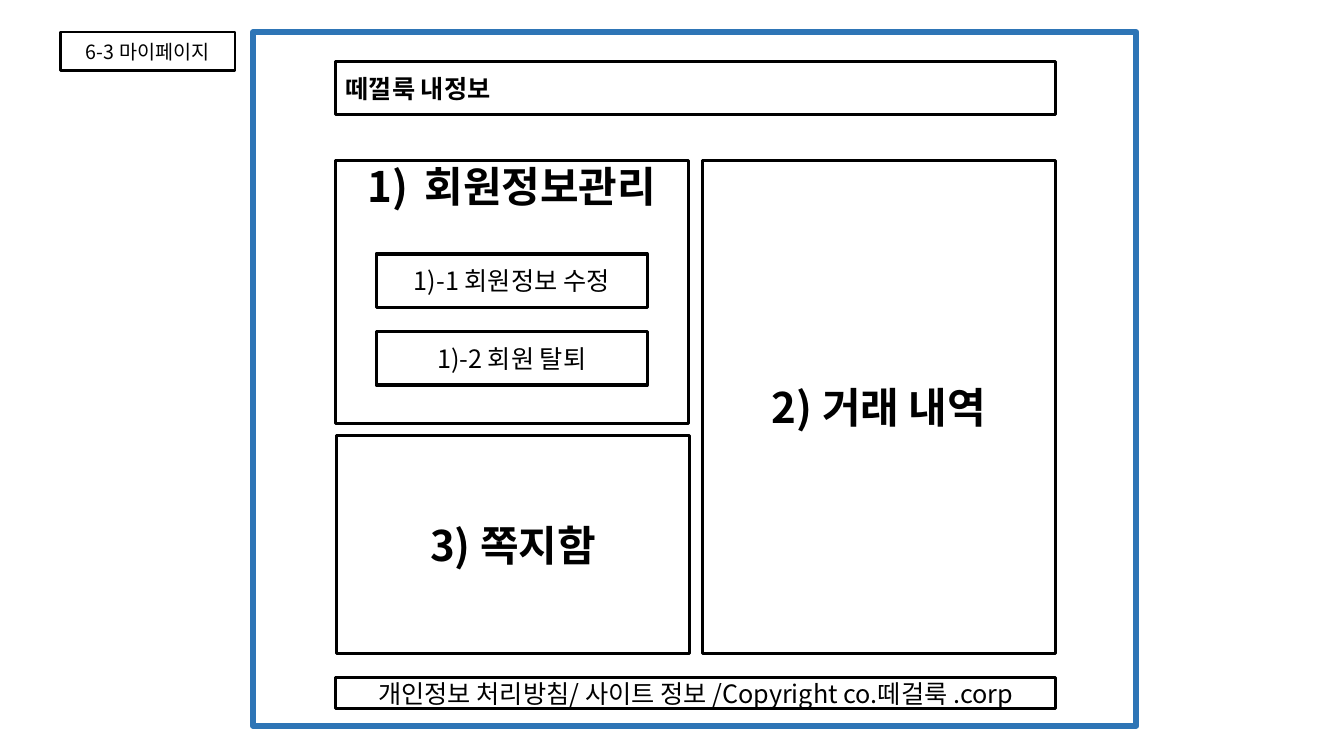
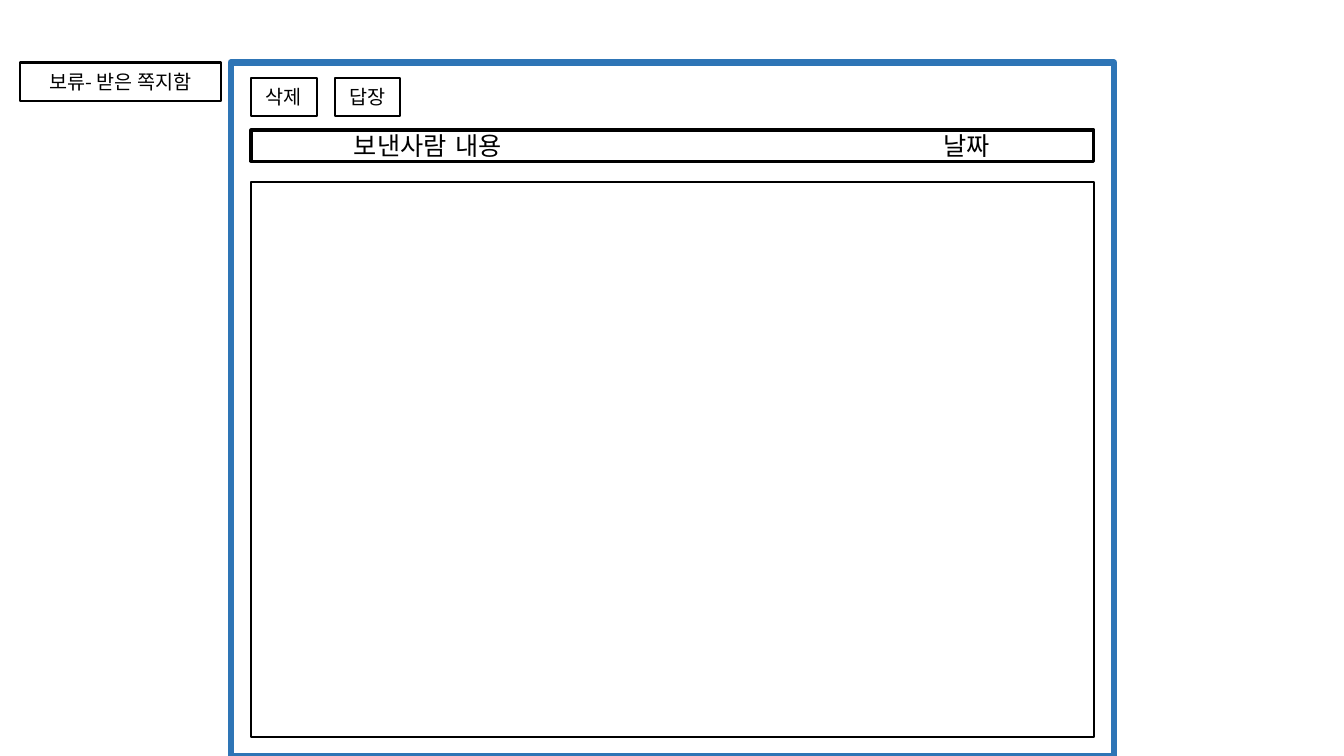
from collections import namedtuple
from dataclasses import dataclass

from lxml.etree import SubElement
from pptx import Presentation
from pptx.dml.color import RGBColor
from pptx.enum.shapes import MSO_SHAPE
from pptx.enum.text import MSO_ANCHOR, PP_ALIGN
from pptx.oxml.ns import qn
from pptx.util import Pt

PX = 9144

Box = namedtuple("Box", "left top width height")


@dataclass(frozen=True)
class Theme:
    font: str = "Noto Sans CJK KR"
    ink: RGBColor = RGBColor(0x00, 0x00, 0x00)
    paper: RGBColor = RGBColor(0xFF, 0xFF, 0xFF)
    accent: RGBColor = RGBColor(0x2E, 0x75, 0xB6)
    small: int = 14
    body: int = 18
    heading: int = 30
    thin: float = 1.5
    medium: float = 2.25
    thick: float = 4.5


THEME = Theme()


def inside(box, left, top, width, height):
    return Box(box.left + left, box.top + top, width, height)


def outline(slide, box, weight, color=THEME.ink):
    panel = slide.shapes.add_shape(MSO_SHAPE.RECTANGLE, *(side * PX for side in box))
    panel.shadow.inherit = False
    panel.fill.solid()
    panel.fill.fore_color.rgb = THEME.paper
    panel.line.color.rgb = color
    panel.line.width = Pt(weight)
    return panel


def write(panel, runs, size, bold=False, align=PP_ALIGN.CENTER, anchor=MSO_ANCHOR.MIDDLE):
    frame = panel.text_frame
    frame.word_wrap = True
    frame.vertical_anchor = anchor
    paragraph = frame.paragraphs[0]
    paragraph.alignment = align
    for words in runs:
        run = paragraph.add_run()
        run.text = words
        run.font.size = Pt(size)
        run.font.bold = bold
        run.font.color.rgb = THEME.ink
        run.font.name = THEME.font
        SubElement(run.font._element, qn("a:ea"), typeface=THEME.font)
    return paragraph


def labelled(slide, box, words, size=THEME.body, weight=THEME.medium, **style):
    panel = outline(slide, box, weight)
    write(panel, [words], size, **style)


def number_with_paren(paragraph, hanging):
    properties = paragraph._p.get_or_add_pPr()
    properties.set("marL", str(hanging * PX))
    properties.set("indent", str(-hanging * PX))
    SubElement(properties, qn("a:buFontTx"))
    SubElement(properties, qn("a:buAutoNum"), type="arabicParenR")


def set_tabs(paragraph, stops):
    tabs = SubElement(paragraph._p.get_or_add_pPr(), qn("a:tabLst"))
    for stop in stops:
        SubElement(tabs, qn("a:tab"), pos=str(stop * PX), algn="l")


def screen(slide, left, top, title, title_width, title_gap):
    window = Box(left, top, 876, 688)
    outline(slide, window, THEME.thick, THEME.accent)
    title_box = inside(window, -title_width - title_gap, 0, title_width, 38)
    labelled(slide, title_box, title, THEME.small, THEME.thin)
    return window


def member_panel(slide, box):
    panel = outline(slide, box, THEME.medium)
    panel.text_frame.margin_top = 0
    heading = write(panel, ["회원정보관리"], THEME.heading, bold=True, anchor=MSO_ANCHOR.TOP)
    number_with_paren(heading, 56)
    for row, action in enumerate(("1)-1 회원정보 수정", "1)-2 회원 탈퇴")):
        labelled(slide, inside(box, 40, 93 + row * 77, 269, 53), action)


def my_page(slide):
    window = screen(slide, 251, 32, "6-3 마이페이지", 173, 18)
    content = inside(window, 82, 29, 714, 642)
    labelled(slide, inside(content, 0, 0, content.width, 53), "떼껄룩 내정보",
             bold=True, align=PP_ALIGN.LEFT)
    column, gap = 350, 14
    member_panel(slide, inside(content, 0, 98, column, 261))
    labelled(slide, inside(content, 1, 371, column, 216), "3) 쪽지함",
             THEME.heading, bold=True)
    labelled(slide, inside(content, column + gap, 98, column, 489), "2) 거래 내역",
             THEME.heading, bold=True)
    labelled(slide, inside(content, 0, 611, content.width, 31),
             "개인정보 처리방침/ 사이트 정보 /Copyright co.떼걸룩 .corp")


def message_header(slide, box):
    panel = outline(slide, box, THEME.medium)
    panel.text_frame.margin_left = 102 * PX
    columns = write(panel, ["보낸사람", "\t내용", "\t날짜"], THEME.body, align=PP_ALIGN.LEFT)
    set_tabs(columns, (101, 585))


def inbox(slide):
    window = screen(slide, 229, 62, "보류- 받은 쪽지함", 199, 10)
    content = inside(window, 20, 15, 836, 654)
    for column, action in enumerate(("삭제", "답장")):
        labelled(slide, inside(content, column * 83, 0, 65, 38), action,
                 THEME.small, THEME.thin)
    message_header(slide, inside(content, 0, 52, content.width, 31))
    outline(slide, inside(content, 0, 104, content.width, 550), THEME.thin)


def main():
    deck = Presentation()
    deck.slide_width = 1333 * PX
    deck.slide_height = 750 * PX
    for build in (my_page, inbox):
        build(deck.slides.add_slide(deck.slide_layouts[6]))
    deck.save("out.pptx")


if __name__ == "__main__":
    main()
